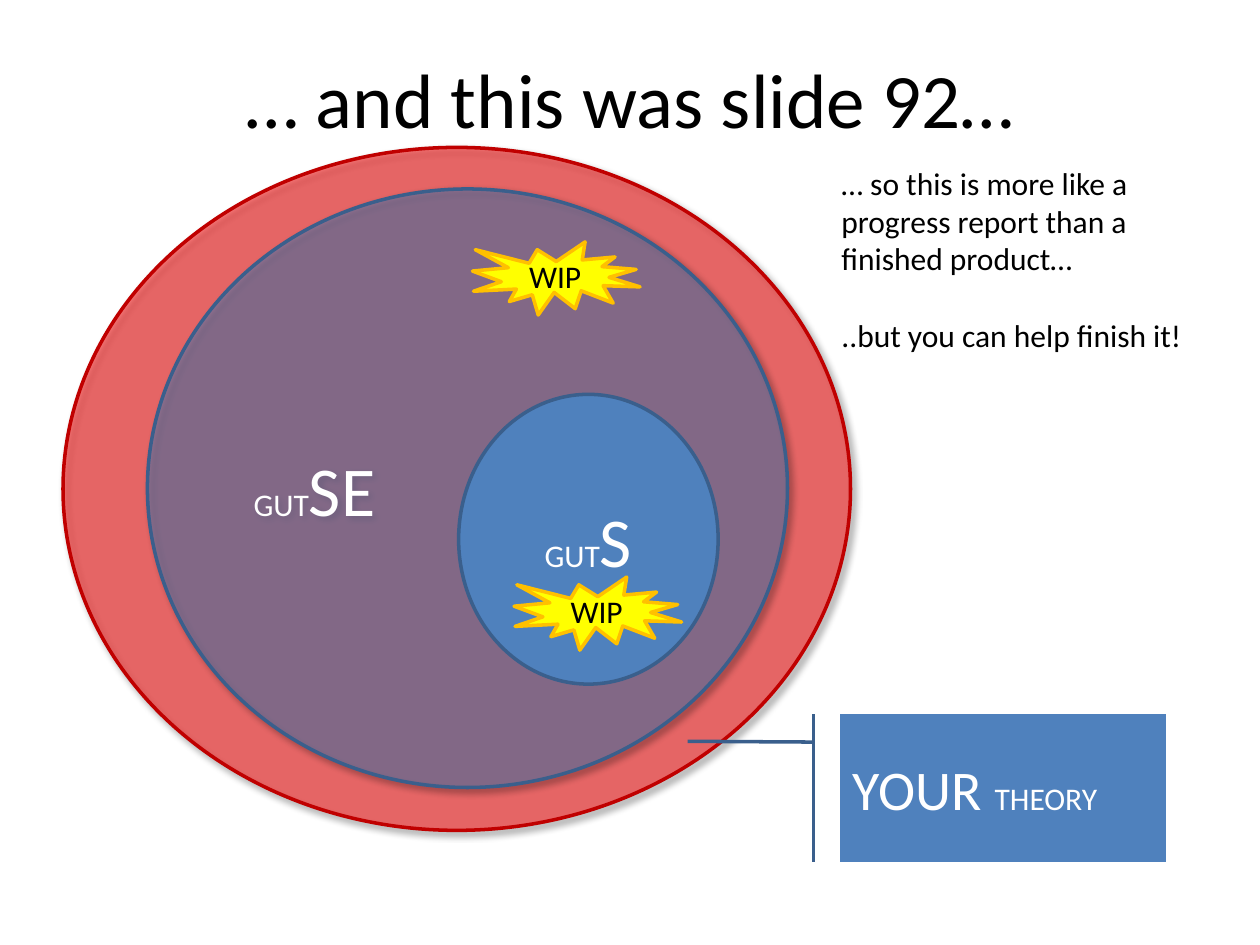
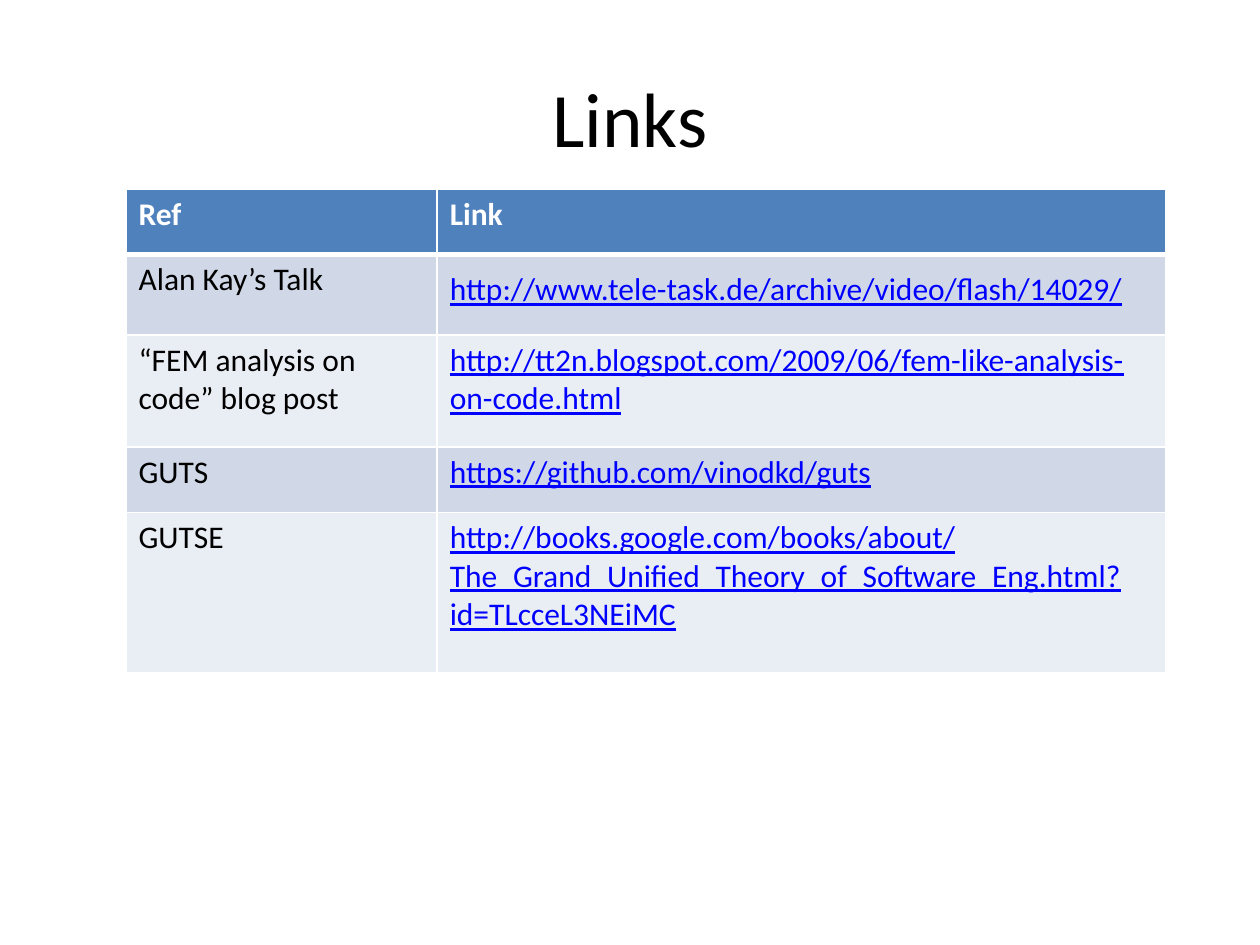
import pptx
import pptx.util
import pptx.dml.color
import pptx.enum.shapes
import pptx.enum.text
import pptx.oxml
import pptx.oxml.ns

Inches, Pt = pptx.util.Inches, pptx.util.Pt
RGB = pptx.dml.color.RGBColor
SHAPE = pptx.enum.shapes.MSO_SHAPE
ANCHOR = pptx.enum.text.MSO_ANCHOR
ALIGN = pptx.enum.text.PP_ALIGN

WHITE, BLACK = RGB(0xFF, 0xFF, 0xFF), RGB(0, 0, 0)
RED, DARK_RED = RGB(0xFF, 0, 0), RGB(0xC0, 0, 0)
BLUE, DARK_BLUE = RGB(0x4F, 0x81, 0xBD), RGB(0x3A, 0x5F, 0x8C)
YELLOW, AMBER = RGB(0xFF, 0xFF, 0), RGB(0xFF, 0xC0, 0)
LINK_BLUE = RGB(0, 0, 0xFF)
BANDS = [RGB(0xD0, 0xD8, 0xE8), RGB(0xE9, 0xED, 0xF4)]

FONT = "Calibri"
BODY, TITLE = 18, 44
NS = pptx.oxml.ns.nsdecls("a")

PROGRESS_TITLE = "… and this was slide 92…"
REMARKS = [
    "… so this is more like a progress report than a finished product…",
    "..but you can help finish it!",
]
THEORIES = [
    dict(at=(0.5, 1.17, 6.25, 5.42), fill=RED, line=DARK_RED, glass=True),
    dict(at=(1.17, 1.5, 5.08, 4.75), fill=BLUE, line=DARK_BLUE, glass=True,
         runs=[("GUT", BODY), ("SE", 40)], align=ALIGN.LEFT),
    dict(at=(3.64, 3.13, 2.06, 2.3), fill=BLUE, line=DARK_BLUE,
         runs=[("GUT", BODY), ("S", 40)]),
]
WIP_CORNERS = [(4.08, 4.58), (3.75, 1.92)]
CALLOUT_TIP = (0.188, -0.083, 0.183, -0.47)

LINKS_TITLE = "Links"
LINK_ROWS = [
    ("Ref", "Link"),
    ("Alan Kay’s Talk", "http://www.tele-task.de/archive/video/flash/14029/"),
    ("“FEM analysis on code” blog post",
     "http://tt2n.blogspot.com/2009/06/fem-like-analysis-on-code.html"),
    ("GUTS", "https://github.com/vinodkd/guts"),
    ("GUTSE", "http://books.google.com/books/about/"
              "The_Grand_Unified_Theory_of_Software_Eng.html?id=TLcceL3NEiMC"),
]
COL_WIDTHS = [2.47, 5.78]
ROW_HEIGHTS = [0.52, 0.64, 0.89, 0.52, 1.27]


def add_run(p, text, size=BODY, color=BLACK, **extra):
    r = p.add_run()
    r.text = text
    r.font.color.rgb = color
    for name, value in dict(name=FONT, size=Pt(size), **extra).items():
        setattr(r.font, name, value)


def add_text(slide, at, paragraphs, size=BODY, align=ALIGN.LEFT,
             anchor=ANCHOR.TOP, gap=0):
    tf = slide.shapes.add_textbox(*map(Inches, at)).text_frame
    tf.word_wrap = True
    tf.vertical_anchor = anchor
    for i, text in enumerate(paragraphs):
        p = tf.add_paragraph() if i else tf.paragraphs[0]
        p.alignment = align
        if i:
            p.space_before = Pt(gap)
        add_run(p, text, size)


def add_title(slide, text, height):
    add_text(slide, (0.5, 0.3, 9, height), [text], TITLE, ALIGN.CENTER, ANCHOR.MIDDLE)


def make_glass(sp):
    props = sp._element.spPr
    color = props.find(pptx.oxml.ns.qn("a:solidFill"))[0]
    color.append(pptx.oxml.parse_xml(f'<a:alpha {NS} val="50000"/>'))
    props.find(pptx.oxml.ns.qn("a:effectLst")).append(pptx.oxml.parse_xml(
        f'<a:outerShdw {NS} blurRad="{Pt(4)}" dist="{Pt(3)}" dir="2700000" '
        'algn="tl" rotWithShape="0"><a:srgbClr val="000000">'
        '<a:alpha val="40000"/></a:srgbClr></a:outerShdw>'))


def add_figure(slide, kind, at, fill, line, runs=(), color=WHITE,
               align=ALIGN.CENTER, glass=False):
    sp = slide.shapes.add_shape(kind, *map(Inches, at))
    sp.shadow.inherit = False
    sp.fill.solid()
    sp.fill.fore_color.rgb = fill
    sp.line.color.rgb = line
    sp.line.width = Pt(2)
    if glass:
        make_glass(sp)
    tf = sp.text_frame
    tf.word_wrap = True
    tf.vertical_anchor = ANCHOR.MIDDLE
    p = tf.paragraphs[0]
    p.alignment = align
    for text, size in runs:
        add_run(p, text, size, color)
    return sp


def set_borders(cell, **widths):
    for side in "LRTB":
        cell._tc.get_or_add_tcPr().append(pptx.oxml.parse_xml(
            f'<a:ln{side} {NS} w="{Pt(widths.get(side, 1))}"><a:solidFill>'
            f'<a:srgbClr val="{WHITE}"/></a:solidFill></a:ln{side}>'))


def build_progress(slide):
    outer, *inner = THEORIES
    add_figure(slide, SHAPE.OVAL, **outer)
    add_title(slide, PROGRESS_TITLE, 0.95)
    for theory in inner:
        add_figure(slide, SHAPE.OVAL, **theory)
    for corner in WIP_CORNERS:
        add_figure(slide, SHAPE.EXPLOSION1, (*corner, 1.33, 0.58), YELLOW, AMBER,
                   [("WIP", BODY)], BLACK)
    add_text(slide, (6.58, 1.25, 3, 1.62), REMARKS, gap=22)
    callout = add_figure(slide, SHAPE.LINE_CALLOUT_1_ACCENT_BAR,
                         (6.67, 5.67, 2.58, 1.17), BLUE, DARK_BLUE,
                         [("YOUR ", 32), ("THEORY", BODY)], align=ALIGN.LEFT)
    for i, value in enumerate(CALLOUT_TIP):
        callout.adjustments[i] = value


def build_links(slide):
    add_title(slide, LINKS_TITLE, 1.25)
    table = slide.shapes.add_table(
        len(LINK_ROWS), len(COL_WIDTHS), Inches(1), Inches(1.5),
        Inches(sum(COL_WIDTHS)), Inches(sum(ROW_HEIGHTS))).table
    for column, width in zip(table.columns, COL_WIDTHS):
        column.width = Inches(width)
    for i, (row, height) in enumerate(zip(LINK_ROWS, ROW_HEIGHTS)):
        table.rows[i].height = Inches(height)
        for j, text in enumerate(row):
            cell = table.cell(i, j)
            set_borders(cell, T=3 if i == 1 else 1, B=3 if i == 0 else 1)
            cell.fill.solid()
            cell.fill.fore_color.rgb = BANDS[(i - 1) % 2] if i else BLUE
            is_link = i > 0 and j == 1
            color = LINK_BLUE if is_link else BLACK if i else WHITE
            add_run(cell.text_frame.paragraphs[0], text, color=color,
                    bold=i == 0, underline=is_link)
    table.cell(1, 1).margin_top = Inches(0.13)


def main():
    prs = pptx.Presentation()
    prs.slide_width, prs.slide_height = Inches(10), Inches(7.5)
    for build in (build_progress, build_links):
        build(prs.slides.add_slide(prs.slide_layouts[6]))
    prs.save("out.pptx")


if __name__ == "__main__":
    main()
